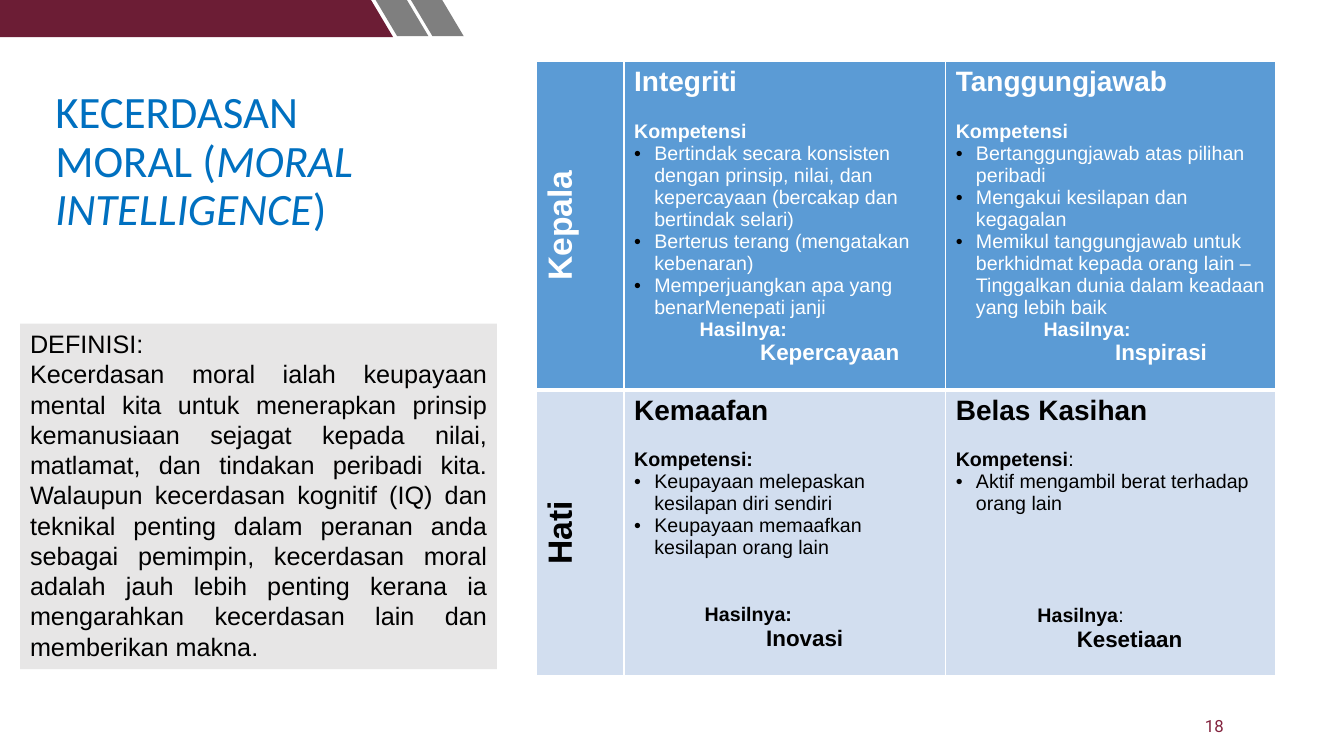
from dataclasses import dataclass
from typing import Any

import pptx
import pptx.dml.color
import pptx.enum.shapes
import pptx.enum.text
import pptx.oxml
import pptx.oxml.ns
import pptx.util
from lxml import etree

Inches = pptx.util.Inches
Pt = pptx.util.Pt
ALIGN = pptx.enum.text.PP_ALIGN
ANCHOR = pptx.enum.text.MSO_ANCHOR

WHITE, BLACK, GREY, MAROON = "FFFFFF", "000000", "7F7F7F", "6C1D35"
LINE_GAP = 16.1  # height in points of one line of 14 pt text


@dataclass
class Run:
    text: str
    bold: bool = False
    italic: bool = False


@dataclass
class Stripe:
    left: float
    top: float
    width: float
    color: str


@dataclass
class Virtue:
    heading: str
    competence: list[Run]
    skills: list[str]
    result: list[Run]
    outcome: str
    result_indent: float
    outcome_indent: float
    gap_lines: int = 0


@dataclass
class Domain:
    name: str
    fill: str
    color: str
    height: float
    virtues: list[Virtue]


STRIPES = [
    Stripe(3.72, -0.01, 0.31, GREY),
    Stripe(-0.26, 0, 3.94, MAROON),
    Stripe(4.07, -0.01, 0.31, GREY),
]

DOMAINS = [
    Domain("Kepala", "5B9BD5", WHITE, 3.26, [
        Virtue("Integriti", [Run("Kompetensi", True)], [
            "Bertindak secara konsisten dengan prinsip, nilai, dan kepercayaan "
            "(bercakap dan bertindak selari)",
            "Berterus terang (mengatakan kebenaran)",
            "Memperjuangkan apa yang benarMenepati janji",
        ], [Run("Hasilnya:", True)], "Kepercayaan", 0.65, 1.25),
        Virtue("Tanggungjawab", [Run("Kompetensi", True)], [
            "Bertanggungjawab atas pilihan peribadi",
            "Mengakui kesilapan dan kegagalan",
            "Memikul tanggungjawab untuk berkhidmat kepada orang lain – "
            "Tinggalkan dunia dalam keadaan yang lebih baik",
        ], [Run("Hasilnya:", True)], "Inspirasi", 0.87, 1.58),
    ]),
    Domain("Hati", "D2DEEF", BLACK, 2.83, [
        Virtue("Kemaafan", [Run("Kompetensi:", True)], [
            "Keupayaan melepaskan kesilapan diri sendiri",
            "Keupayaan memaafkan kesilapan orang lain",
        ], [Run("Hasilnya:", True)], "Inovasi", 0.7, 1.31, 2),
        Virtue("Belas Kasihan", [Run("Kompetensi", True), Run(":")], [
            "Aktif mengambil berat terhadap orang lain",
        ], [Run("Hasilnya", True), Run(":")], "Kesetiaan", 0.81, 1.2, 4),
    ]),
]


def rgb(value: str) -> pptx.dml.color.RGBColor:
    return pptx.dml.color.RGBColor.from_string(value)


def apply(target: Any, values: dict[str, Any]) -> None:
    for name, value in values.items():
        setattr(target, name, value)


def paint(shape: Any, color: str) -> None:
    shape.shadow.inherit = False
    shape.fill.solid()
    shape.fill.fore_color.rgb = rgb(color)
    shape.line.fill.background()


def write(paragraph: Any, runs: list[Run], size: float, color: str,
          font: str = "Arial", **layout: Any) -> None:
    apply(paragraph, layout)
    for run in runs:
        piece = paragraph.add_run()
        piece.text = run.text
        apply(piece.font, {"size": Pt(size), "name": font,
                           "bold": run.bold, "italic": run.italic})
        piece.font.color.rgb = rgb(color)


def indent(paragraph: Any, left: float, first: float = 0) -> None:
    properties = paragraph._p.get_or_add_pPr()
    properties.set("marL", str(Inches(left)))
    properties.set("indent", str(Inches(first)))


def add_bullet(paragraph: Any) -> None:
    indent(paragraph, 0.2, -0.2)
    properties = paragraph._p.get_or_add_pPr()
    qn = pptx.oxml.ns.qn
    bullet_color = etree.SubElement(properties, qn("a:buClr"))
    etree.SubElement(bullet_color, qn("a:srgbClr")).set("val", BLACK)
    etree.SubElement(properties, qn("a:buFont")).set("typeface", "Arial")
    etree.SubElement(properties, qn("a:buChar")).set("char", "•")


def style_cell(cell: Any, fill: str, top: float, bottom: float) -> None:
    properties = cell._tc.get_or_add_tcPr()
    qn = pptx.oxml.ns.qn
    for side, width in {"L": 1, "R": 1, "T": top, "B": bottom}.items():
        border = etree.SubElement(properties, qn(f"a:ln{side}"))
        border.set("w", str(Pt(width)))
        solid = etree.SubElement(border, qn("a:solidFill"))
        etree.SubElement(solid, qn("a:srgbClr")).set("val", WHITE)
    cell.fill.solid()
    cell.fill.fore_color.rgb = rgb(fill)


def fill_virtue(cell: Any, virtue: Virtue, color: str) -> None:
    frame = cell.text_frame
    write(frame.paragraphs[0], [Run(virtue.heading, True)], 20, color)
    write(frame.add_paragraph(), virtue.competence, 14, color, space_before=Pt(LINE_GAP))
    for skill in virtue.skills:
        item = frame.add_paragraph()
        write(item, [Run(skill)], 14, color)
        add_bullet(item)
    result = frame.add_paragraph()
    write(result, virtue.result, 14, color, space_before=Pt(LINE_GAP * virtue.gap_lines))
    indent(result, virtue.result_indent)
    outcome = frame.add_paragraph()
    write(outcome, [Run(virtue.outcome, True)], 16, color)
    indent(outcome, virtue.outcome_indent)


def add_stripe(slide: Any, stripe: Stripe) -> None:
    slant, height = 0.22, 0.37
    right, bottom = stripe.left + stripe.width, stripe.top + height
    outline = slide.shapes.build_freeform(Inches(stripe.left), Inches(stripe.top))
    corners = [(right, stripe.top), (right + slant, bottom), (stripe.left + slant, bottom)]
    outline.add_line_segments([(Inches(x), Inches(y)) for x, y in corners], close=True)
    paint(outline.convert_to_shape(), stripe.color)


def add_text_box(slide: Any, left: float, top: float, width: float, height: float) -> Any:
    box = slide.shapes.add_textbox(Inches(left), Inches(top), Inches(width), Inches(height))
    apply(box.text_frame, {"word_wrap": True, "vertical_anchor": ANCHOR.MIDDLE})
    return box.text_frame


def add_definition(slide: Any) -> None:
    panel = slide.shapes.add_shape(pptx.enum.shapes.MSO_SHAPE.RECTANGLE,
                                   Inches(0.2), Inches(3.21), Inches(4.73), Inches(3.43))
    paint(panel, "E7E6E6")
    frame = panel.text_frame
    apply(frame, {"word_wrap": True, "vertical_anchor": ANCHOR.TOP,
                  "auto_size": pptx.enum.text.MSO_AUTO_SIZE.SHAPE_TO_FIT_TEXT})
    write(frame.paragraphs[0], [Run("DEFINISI:")], 18, BLACK, alignment=ALIGN.JUSTIFY)
    write(frame.add_paragraph(), [Run(
        "Kecerdasan moral ialah keupayaan mental kita untuk menerapkan prinsip kemanusiaan "
        "sejagat kepada nilai, matlamat, dan tindakan peribadi kita. Walaupun kecerdasan "
        "kognitif (IQ) dan teknikal penting dalam peranan anda sebagai pemimpin, kecerdasan "
        "moral adalah jauh lebih penting kerana ia mengarahkan kecerdasan lain dan "
        "memberikan makna.")], 18, BLACK, alignment=ALIGN.JUSTIFY)


def add_virtue_table(slide: Any) -> None:
    widths = [0.87, 3.19, 3.27]
    table = slide.shapes.add_table(
        len(DOMAINS), len(widths), Inches(5.32), Inches(0.61), Inches(sum(widths)),
        Inches(sum(domain.height for domain in DOMAINS))).table
    for column, width in zip(table.columns, widths):
        column.width = Inches(width)
    for index, domain in enumerate(DOMAINS):
        row = table.rows[index]
        row.height = Inches(domain.height)
        top, bottom = (1, 3) if index == 0 else (3, 1)
        for cell in row.cells:
            style_cell(cell, domain.fill, top, bottom)
        name_cell, *virtue_cells = row.cells
        name_cell._tc.get_or_add_tcPr().set("vert", "vert270")
        write(name_cell.text_frame.paragraphs[0], [Run(domain.name, True)], 24,
              domain.color, alignment=ALIGN.CENTER)
        for cell, virtue in zip(virtue_cells, domain.virtues):
            fill_virtue(cell, virtue, domain.color)


def main() -> None:
    deck = pptx.Presentation()
    apply(deck, {"slide_width": Inches(13.33), "slide_height": Inches(7.5)})
    slide = deck.slides.add_slide(deck.slide_layouts[6])

    # Header stripes and page number
    for stripe in STRIPES:
        add_stripe(slide, stripe)
    page = add_text_box(slide, 11.63, 7.03, 0.83, 0.35)
    write(page.paragraphs[0], [Run("18")], 12, "83233E", "Roboto", alignment=ALIGN.CENTER)

    # Title, raised above the middle of its box
    title = add_text_box(slide, 0.45, 1.13, 3.9, 1.45)
    title.margin_bottom = Inches(0.53)
    write(title.paragraphs[0],
          [Run("KECERDASAN MORAL ("), Run("MORAL INTELLIGENCE", italic=True), Run(")")],
          32, "0070C0", "Calibri", line_spacing=0.9)

    # Definition and table of virtues
    add_definition(slide)
    add_virtue_table(slide)
    deck.save("out.pptx")


if __name__ == "__main__":
    main()
